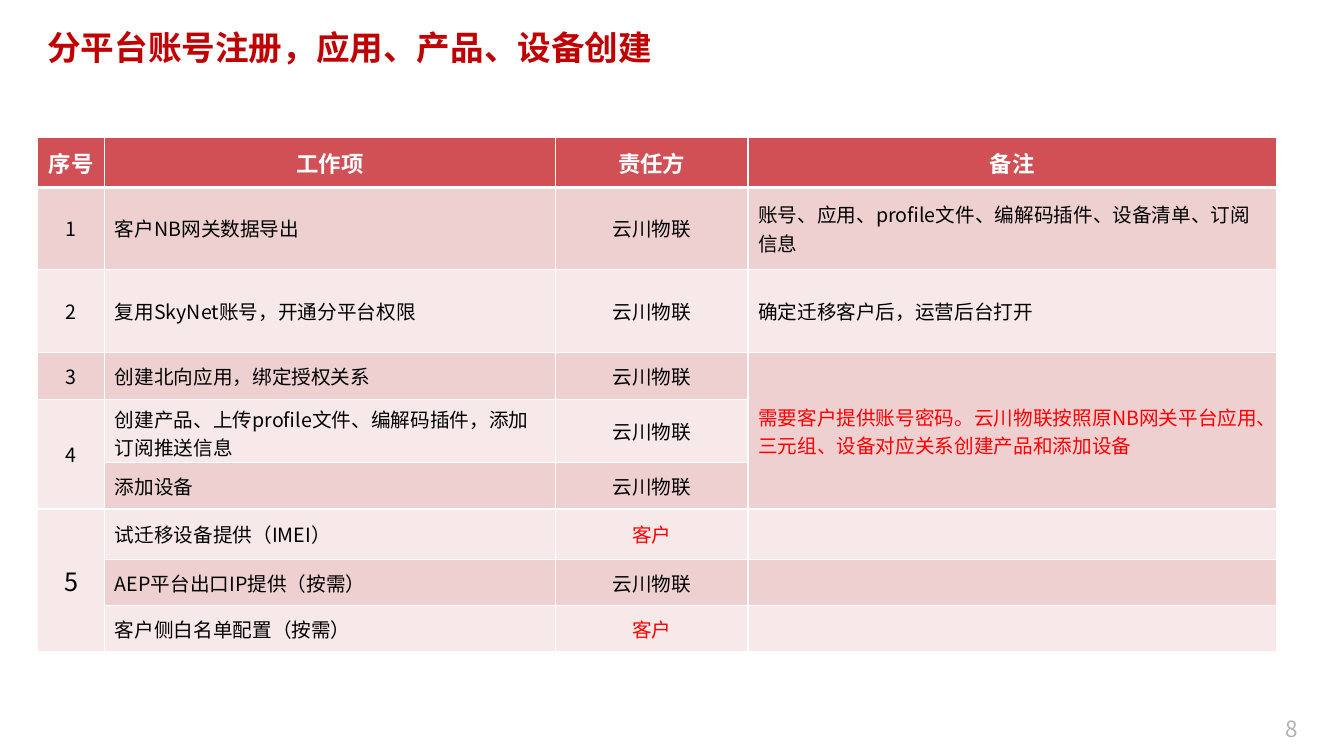
"""Build the slide listing account, application, product and device setup tasks."""
from dataclasses import dataclass

import pptx
import pptx.dml.color
import pptx.enum.text
import pptx.oxml.ns
import pptx.util
from lxml import etree

PX = 9144
FONT = "Noto Sans CJK SC"
COLORS = {
    "title": "C00000", "header": "D05056", "odd": "EED0D1", "even": "F7E9E9",
    "white": "FFFFFF", "black": "000000", "red": "FF0000", "gray": "B2B2B2",
}
ALIGN = pptx.enum.text.PP_ALIGN
MIDDLE = pptx.enum.text.MSO_ANCHOR.MIDDLE
qn = pptx.oxml.ns.qn


@dataclass
class Style:
    size: int = 14
    color: str = "black"
    bold: bool = False
    align: ALIGN = ALIGN.LEFT


@dataclass
class Label:
    text: str
    box: tuple[int, int, int, int]
    style: Style
    wrap: bool = True
    spacing: float = 1.0


@dataclass
class Task:
    number: str
    work: str
    owner: str
    note: str = ""


VENDOR, CLIENT = "云川物联", "客户"
LABELS = [
    Label("8", (1265, 705, 46, 37), Style(16, "gray"), wrap=False),
    Label("分平台账号注册，应用、产品、设备创建", (37, 13, 1128, 72),
          Style(24, "title", True), spacing=0.9),
]
TABLE_LEFT, TABLE_TOP = 37, 136
COLUMNS = [67, 447, 191, 524]
ROWS = [50, 81, 83, 46, 63, 46, 50, 46, 46]
TASKS = [
    Task("序号", "工作项", "责任方", "备注"),
    Task("1", "客户NB网关数据导出", VENDOR,
         "账号、应用、profile文件、编解码插件、设备清单、订阅信息"),
    Task("2", "复用SkyNet账号，开通分平台权限", VENDOR, "确定迁移客户后，运营后台打开"),
    Task("3", "创建北向应用，绑定授权关系", VENDOR,
         f"需要客户提供账号密码。{VENDOR}按照原NB网关平台应用、三元组、设备对应关系创建产品和添加设备"),
    Task("4", "创建产品、上传profile文件、编解码插件，添加订阅推送信息", VENDOR),
    Task("", "添加设备", VENDOR),
    Task("5", "试迁移设备提供（IMEI）", CLIENT),
    Task("", "AEP平台出口IP提供（按需）", VENDOR),
    Task("", "客户侧白名单配置（按需）", CLIENT),
]
MERGES = [(3, 3, 5), (0, 4, 5), (0, 6, 8)]


def rgb(name: str) -> pptx.dml.color.RGBColor:
    return pptx.dml.color.RGBColor.from_string(COLORS[name])


def write(tf, text: str, style: Style) -> None:
    p = tf.paragraphs[0]
    p.text = text
    p.alignment = style.align
    p.font.name = FONT
    p.font.size = pptx.util.Pt(style.size)
    p.font.bold = style.bold
    p.font.color.rgb = rgb(style.color)
    defaults = p._p.get_or_add_pPr().get_or_add_defRPr()
    etree.SubElement(defaults, qn("a:ea"), typeface=FONT)


def add_label(s, label: Label) -> None:
    sp = s.shapes.add_textbox(*(v * PX for v in label.box))
    tf = sp.text_frame
    tf.word_wrap = label.wrap
    if label.spacing != 1:
        tf.vertical_anchor = MIDDLE
        tf.paragraphs[0].line_spacing = label.spacing
    write(tf, label.text, label.style)


def add_borders(cell, row: int) -> None:
    tc_pr = cell._tc.get_or_add_tcPr()
    for side in "LRTB":
        heavy = (row, side) in ((0, "B"), (1, "T"))
        ln = etree.SubElement(tc_pr, qn(f"a:ln{side}"), w=str(pptx.util.Pt(3 if heavy else 1)))
        fill = etree.SubElement(ln, qn("a:solidFill"))
        etree.SubElement(fill, qn("a:srgbClr"), val=COLORS["white"])


def cell_style(row: int, col: int, text: str) -> Style:
    if row == 0:
        return Style(16, "white", True, ALIGN.CENTER)
    red = text == CLIENT or (row, col) == (3, 3)
    return Style(18 if text == "5" else 14, "red" if red else "black",
                 align=ALIGN.CENTER if col in (0, 2) else ALIGN.LEFT)


def add_task_table(s) -> None:
    frame = s.shapes.add_table(len(ROWS), len(COLUMNS), TABLE_LEFT * PX, TABLE_TOP * PX,
                               sum(COLUMNS) * PX, sum(ROWS) * PX)
    table = frame.table
    for column, width in zip(table.columns, COLUMNS):
        column.width = width * PX
    for row, height in zip(table.rows, ROWS):
        row.height = height * PX
    for r, task in enumerate(TASKS):
        for c, text in enumerate((task.number, task.work, task.owner, task.note)):
            cell = table.cell(r, c)
            add_borders(cell, r)
            cell.fill.solid()
            cell.fill.fore_color.rgb = rgb("header" if r == 0 else "odd" if r % 2 else "even")
            cell.vertical_anchor = MIDDLE
            if text:
                write(cell.text_frame, text, cell_style(r, c, text))
    for col, first, last in MERGES:
        table.cell(first, col).merge(table.cell(last, col))


def main() -> None:
    prs = pptx.Presentation()
    prs.slide_width, prs.slide_height = 1333 * PX, 750 * PX
    s = prs.slides.add_slide(prs.slide_layouts[6])
    for label in LABELS:
        add_label(s, label)
    add_task_table(s)
    prs.save("out.pptx")


if __name__ == "__main__":
    main()
